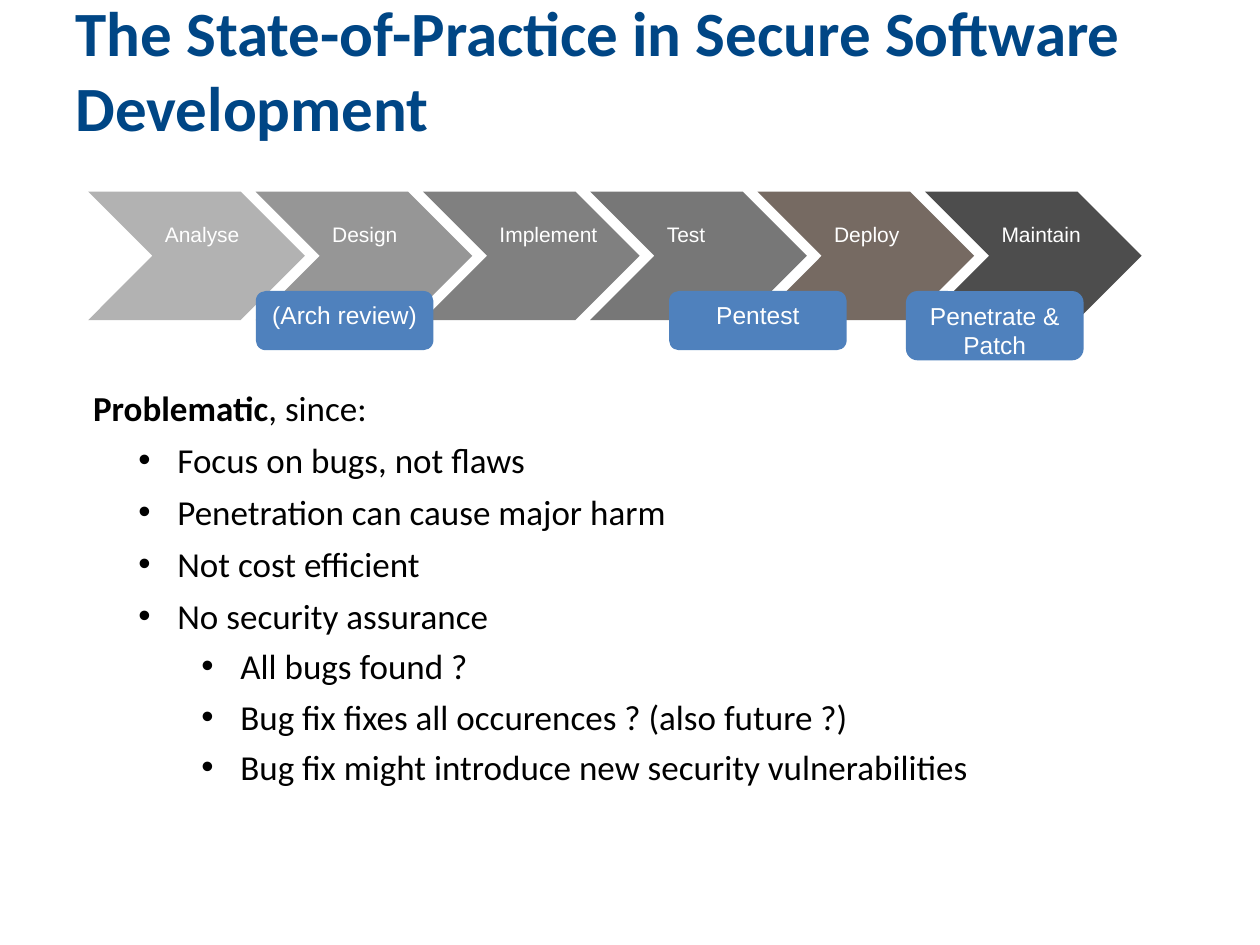
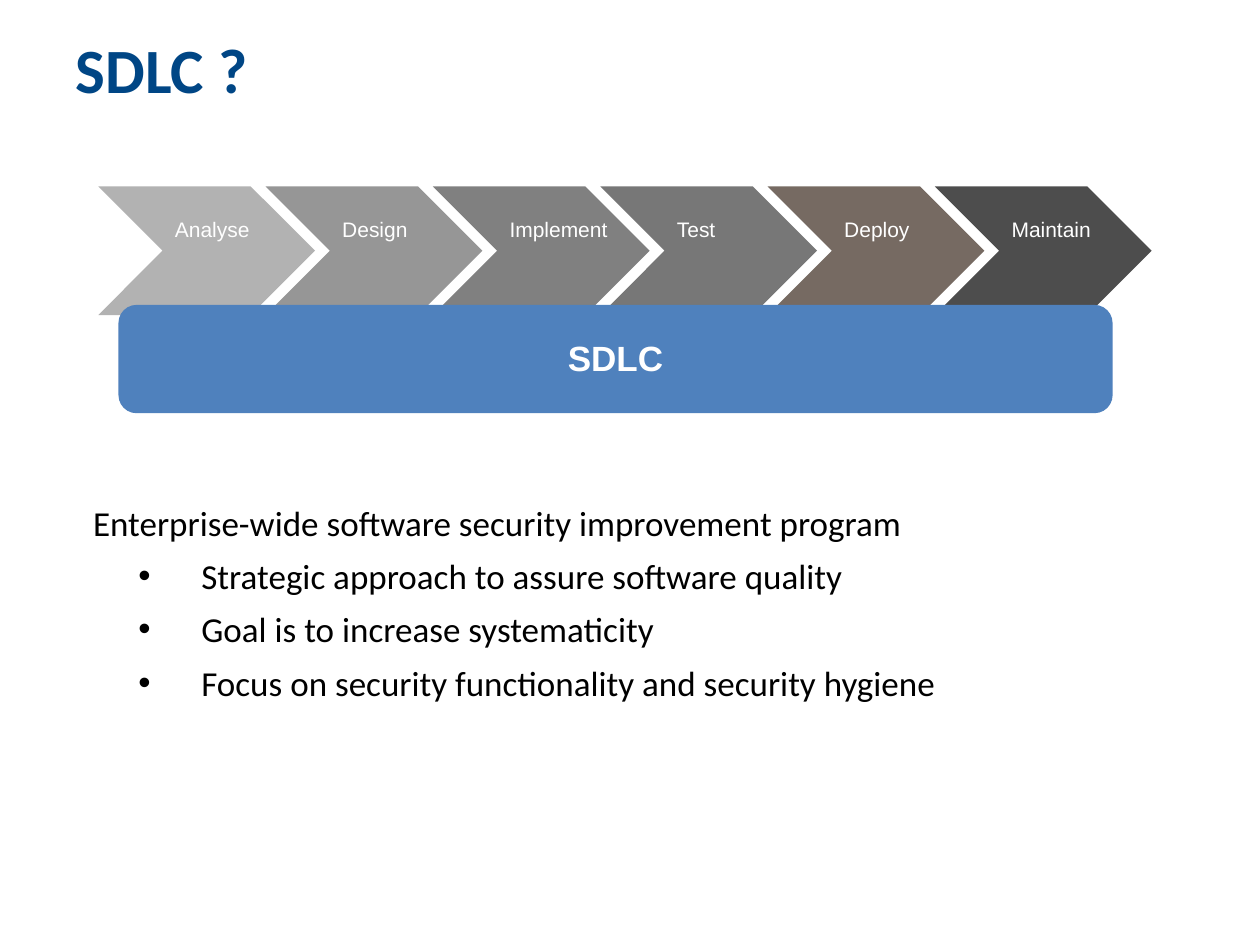
from pptx import Presentation
from pptx.dml.color import RGBColor
from pptx.enum.shapes import MSO_SHAPE
from pptx.enum.text import MSO_ANCHOR, MSO_AUTO_SIZE, PP_ALIGN
from pptx.util import Inches, Pt
from lxml.etree import SubElement
from pptx.oxml.ns import qn

NAVY = RGBColor(0x00, 0x46, 0x85)
BLUE = RGBColor(0x4F, 0x81, 0xBD)
BLACK = RGBColor(0x00, 0x00, 0x00)
WHITE = RGBColor(0xFF, 0xFF, 0xFF)
PHASES = [
    ("Analyse", RGBColor(0xB2, 0xB2, 0xB2)),
    ("Design", RGBColor(0x96, 0x96, 0x96)),
    ("Implement", RGBColor(0x80, 0x80, 0x80)),
    ("Test", RGBColor(0x77, 0x77, 0x77)),
    ("Deploy", RGBColor(0x76, 0x6A, 0x62)),
    ("Maintain", RGBColor(0x4D, 0x4D, 0x4D)),
]
PHASE_PITCH = 6.64 / 5

INTRO = (0.14, 0, 0)
BULLET = (0.81, -0.31, 5.6)
SUB_BULLET = (1.31, -0.31, 4.8)
WIDE_BULLET = (1, -0.5, 6.4)

SLIDES = [
    {
        "title": "The State-of-Practice in Secure Software Development",
        "phases_at": (0.7, 1.52),
        "practices": [
            ("(Arch review)", 2.03, 2.31, 1.41, 0.47, 14, False, 0.05),
            ("Pentest", 5.31, 2.31, 1.41, 0.47, 14, False, 0.05),
            ("Penetrate & Patch", 7.19, 2.31, 1.41, 0.55, 14, False, 0.05),
        ],
        "body_top": 2.97,
        "body": [
            ([("Problematic", True), (", since:", False)], INTRO),
            ([("Focus on bugs, not flaws", False)], BULLET),
            ([("Penetration can cause major harm", False)], BULLET),
            ([("Not cost efficient", False)], BULLET),
            ([("No security assurance", False)], BULLET),
            ([("All bugs found ?", False)], SUB_BULLET),
            ([("Bug fix fixes all occurences ? (also future ?)", False)], SUB_BULLET),
            ([("Bug fix might introduce new security vulnerabilities", False)], SUB_BULLET),
        ],
    },
    {
        "title": "SDLC ?",
        "phases_at": (0.78, 1.48),
        "practices": [("SDLC", 0.94, 2.42, 7.89, 0.86, 20, True, 0.21)],
        "body_top": 3.88,
        "body": [
            ([("Enterprise-wide software security improvement program", False)], INTRO),
            ([("Strategic approach to assure software quality", False)], WIDE_BULLET),
            ([("Goal is to increase systematicity", False)], WIDE_BULLET),
            ([("Focus on security functionality and security hygiene", False)], WIDE_BULLET),
        ],
    },
]


def style_run(run, font_name, size, color, bold=False):
    run.font.name = font_name
    run.font.size = Pt(size)
    run.font.color.rgb = color
    run.font.bold = bold


def add_label(shapes, preset, box, text, fill, size, bold, align, inset_top):
    label = shapes.add_shape(preset, *[Inches(length) for length in box])
    label.shadow.inherit = False
    label.fill.solid()
    label.fill.fore_color.rgb = fill
    label.line.fill.background()
    frame = label.text_frame
    frame.text = text
    frame.vertical_anchor = MSO_ANCHOR.TOP
    frame.margin_top = Inches(inset_top)
    frame.word_wrap = True
    frame.paragraphs[0].alignment = align
    style_run(frame.paragraphs[0].runs[0], "Arial", size, WHITE, bold)
    return label


prs = Presentation()
prs.slide_width = Inches(10)
prs.slide_height = Inches(7.5)

for content in SLIDES:
    slide = prs.slides.add_slide(prs.slide_layouts[5])

    title = slide.shapes.title
    title.left, title.top = Inches(0.5), Inches(0.3)
    title.width, title.height = Inches(9), Inches(0.49)
    heading = title.text_frame
    heading.text = content["title"]
    heading.auto_size = MSO_AUTO_SIZE.NONE
    heading.vertical_anchor = MSO_ANCHOR.MIDDLE
    heading.paragraphs[0].alignment = PP_ALIGN.LEFT
    style_run(heading.paragraphs[0].runs[0], "Calibri", 36, NAVY, True)

    body = slide.shapes.add_textbox(
        Inches(0.5), Inches(content["body_top"]),
        Inches(9), Inches(6.85 - content["body_top"])).text_frame
    body.word_wrap = True
    body.margin_top = Inches(0.1)
    for index, (pieces, (indent, hanging, space_before)) in enumerate(content["body"]):
        paragraph = body.add_paragraph() if index else body.paragraphs[0]
        properties = paragraph._p.get_or_add_pPr()
        properties.set("marL", str(Inches(indent)))
        properties.set("indent", str(Inches(hanging)))
        if hanging:
            SubElement(properties, qn("a:buFont")).set("typeface", "Arial")
            SubElement(properties, qn("a:buChar")).set("char", "•")
        paragraph.space_before = Pt(space_before)
        for text, bold in pieces:
            run = paragraph.add_run()
            run.text = text
            style_run(run, "Calibri", 20, BLACK, bold)

    left, top = content["phases_at"]
    phases = slide.shapes.add_group_shape().shapes
    for index, (phase, shade) in enumerate(PHASES):
        box = (left + index * PHASE_PITCH, top, 1.72, 1.02)
        chevron = add_label(phases, MSO_SHAPE.CHEVRON, box, phase, shade,
                            12, False, PP_ALIGN.LEFT, 0.24)
        chevron.text_frame.word_wrap = phase == "Test"

    for practice, x, y, width, height, size, bold, inset_top in content["practices"]:
        add_label(slide.shapes, MSO_SHAPE.ROUNDED_RECTANGLE, (x, y, width, height),
                  practice, BLUE, size, bold, PP_ALIGN.CENTER, inset_top)

prs.save("out.pptx")
